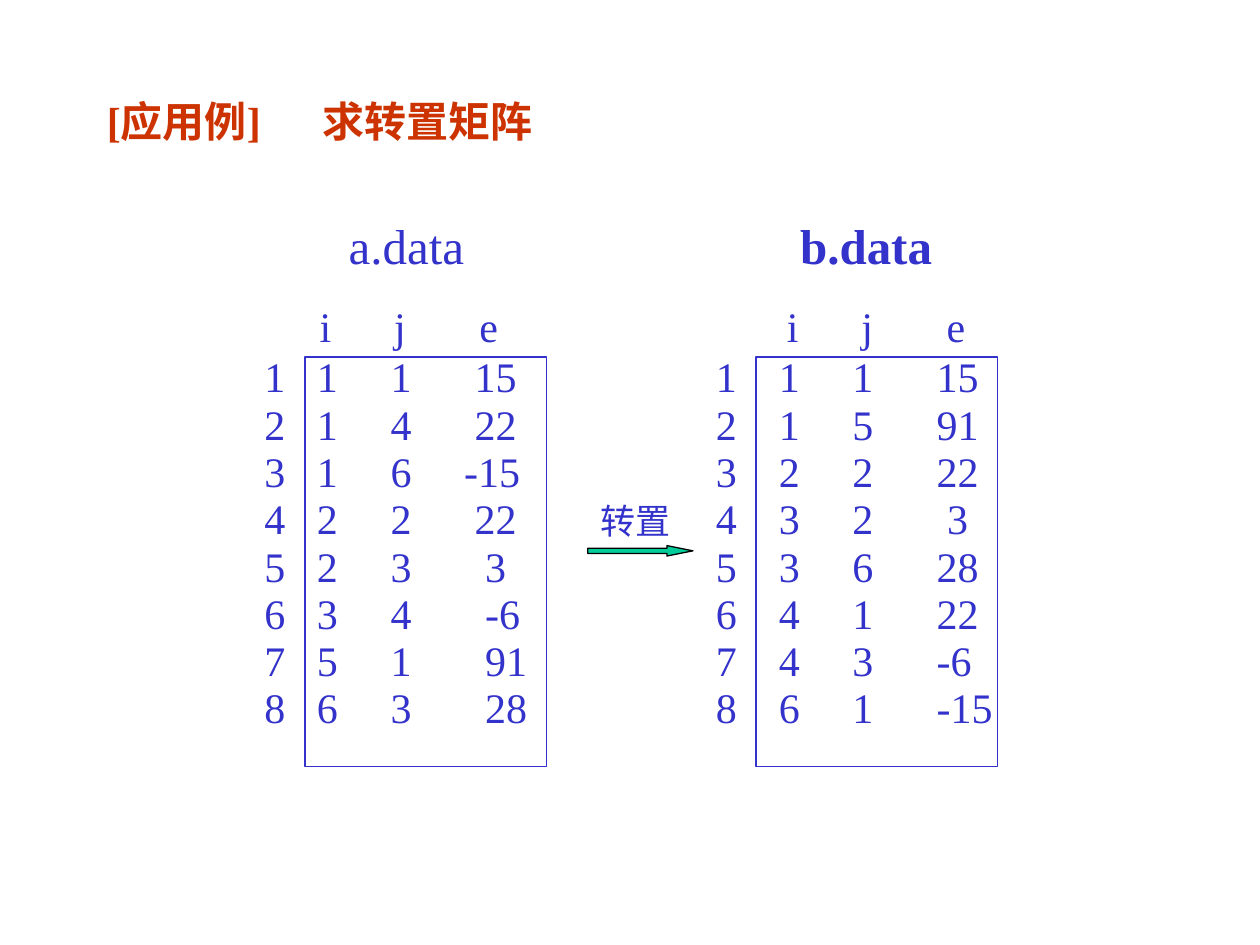
from pptx import Presentation
from pptx.dml.color import RGBColor
from pptx.enum.shapes import MSO_SHAPE as Shape
from pptx.enum.text import MSO_ANCHOR as Anchor, PP_ALIGN as Align
from pptx.oxml.ns import qn
from pptx.util import Cm, Pt
from lxml.etree import SubElement

FONT, BLUE, RED, GREEN, BLACK = "Times New Roman", "3333CC", "CC3300", "00CC99", "000000"
SPACE = 0.212
TITLE = ("[应用例]", "求转置矩阵")
HEADER = ("i", "j", "e")
MATRICES = [
    {"name": "a.data", "bold": False, "left": 5.08, "frame": 6.15, "label": 6.78,
     "header_stops": (5.25, 12.35, 20.45), "columns": (5, 12),
     "rows": [(1, 1, 15), (1, 4, 22), (1, 6, -15), (2, 2, 22),
              (2, 3, 3), (3, 4, -6), (5, 1, 91), (6, 3, 28)],
     "value_stops": (20, 20, 19, 20, 21, 21, 21, 21)},
    {"name": "b.data", "bold": True, "left": 14.18, "frame": 15.24, "label": 15.88,
     "header_stops": (6.75, 13.85, 21.95), "columns": (6, 13),
     "rows": [(1, 1, 15), (1, 5, 91), (2, 2, 22), (3, 2, 3),
              (3, 6, 28), (4, 1, 22), (4, 3, -6), (6, 1, -15)],
     "value_stops": (21, 21, 21, 22, 21, 21, 21, 21)},
]


def color(hex_text):
    return RGBColor.from_string(hex_text)


def style(para, size, hex_text=BLUE, bold=False):
    for span in para.runs:
        span.font.name, span.font.size, span.font.bold = FONT, Pt(size), bold
        span.font.color.rgb = color(hex_text)


def set_tabs(para, stops):
    tabs = SubElement(para._p.get_or_add_pPr(), qn("a:tabLst"))
    for stop in stops:
        SubElement(tabs, qn("a:tab"), pos=str(Cm(stop * SPACE)), algn="l")


def add_text(page, left, top, width, height):
    frame = page.shapes.add_textbox(Cm(left), Cm(top), Cm(width), Cm(height)).text_frame
    frame.word_wrap = True
    return frame


def add_label(page, text, left, top, width, height, size, bold=False):
    para = add_text(page, left, top, width, height).paragraphs[0]
    para.text = text
    para.space_before = Pt(size / 2)
    style(para, size, bold=bold)


def add_shape(page, kind, left, top, width, height, line, fill=None):
    shape = page.shapes.add_shape(kind, Cm(left), Cm(top), Cm(width), Cm(height))
    shape.shadow.inherit = False
    shape.line.color.rgb, shape.line.width = color(line), Pt(0.75)
    if fill:
        shape.fill.solid()
        shape.fill.fore_color.rgb = color(fill)
    else:
        shape.fill.background()
    return shape


def add_matrix(page, matrix):
    frame = add_text(page, matrix["left"], 5.93, 6.35, 9.37)
    head = frame.paragraphs[0]
    head.text = "\t" + "\t".join(HEADER)
    head.space_before = Pt(12)
    set_tabs(head, matrix["header_stops"])
    style(head, 24)
    for number, (row, stop) in enumerate(zip(matrix["rows"], matrix["value_stops"]), 1):
        para = frame.add_paragraph()
        para.text = "\t".join(map(str, (number, *row)))
        para.line_spacing, para.space_before = 0.5, Pt(12.6)
        set_tabs(para, (*matrix["columns"], stop))
        style(para, 24)
    add_shape(page, Shape.RECTANGLE, matrix["frame"], 7.2, 4.87, 8.26, BLUE)
    add_label(page, matrix["name"], matrix["label"], 4.23, 4.23, 1.45, 28, matrix["bold"])


def add_title(page):
    title = page.shapes.title
    title.left, title.top, title.width, title.height = Cm(1.9), Cm(1.7), Cm(21.6), Cm(1.47)
    title.text_frame.vertical_anchor = Anchor.MIDDLE
    para = title.text_frame.paragraphs[0]
    para.text = "\t".join(TITLE)
    para.alignment = Align.LEFT
    set_tabs(para, [20.5])
    style(para, 24, RED, True)


def main():
    """Build the slide that transposes a sparse matrix."""
    deck = Presentation()
    deck.slide_width, deck.slide_height = Cm(25.4), Cm(19.05)
    page = deck.slides.add_slide(deck.slide_layouts[5])
    add_title(page)
    for matrix in MATRICES:
        add_matrix(page, matrix)
    arrow = add_shape(page, Shape.RIGHT_ARROW, 11.85, 11, 2.12, 0.21, BLACK, GREEN)
    arrow.adjustments[0], arrow.adjustments[1] = 0.5, 2.5
    add_label(page, "转置", 11.85, 9.95, 3.81, 1.1, 20)
    deck.save("out.pptx")


if __name__ == "__main__":
    main()
